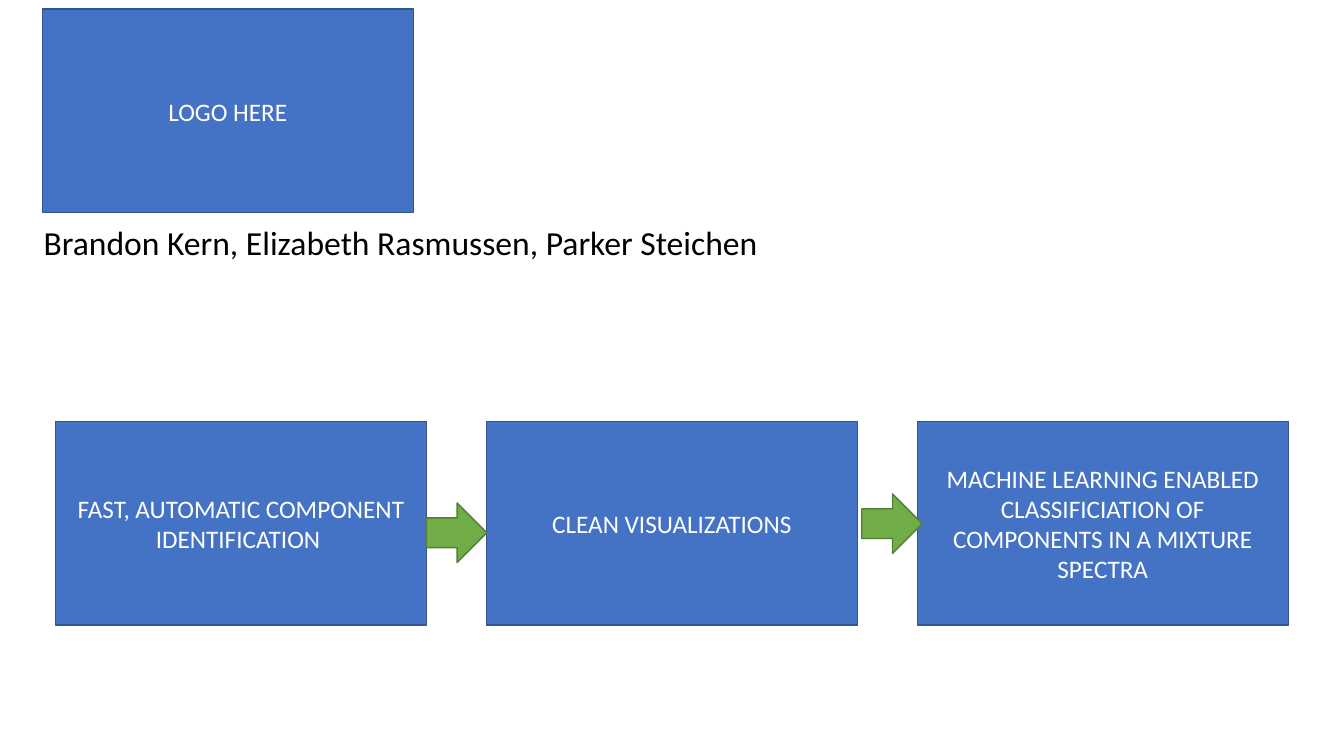
from pptx import Presentation
from pptx.dml.color import RGBColor
from pptx.enum.shapes import MSO_SHAPE as Shape
from pptx.enum.text import MSO_ANCHOR as Anchor, PP_ALIGN as Align
from pptx.util import Pt

NAMES = "Brandon Kern, Elizabeth Rasmussen, Parker Steichen"
LOGO = "LOGO HERE"
STEPS = [
    "FAST, AUTOMATIC COMPONENT IDENTIFICATION ",
    "CLEAN VISUALIZATIONS",
    "MACHINE LEARNING ENABLED CLASSIFICIATION OF COMPONENTS IN A MIXTURE SPECTRA",
]
ARROWS = [(304.6, 359.3), (615.6, 352.8)]

BLUE = RGBColor(0x44, 0x72, 0xC4)
NAVY = RGBColor(0x32, 0x54, 0x91)
GREEN = RGBColor(0x70, 0xAD, 0x47)
MOSS = RGBColor(0x53, 0x80, 0x35)
WHITE = RGBColor(255, 255, 255)
BLACK = RGBColor(0, 0, 0)

BOX_W, BOX_H = 265, 145.5
LEFT, TOP, PITCH = 39.6, 301, 307.8

deck = Presentation()
deck.slide_width, deck.slide_height = Pt(960), Pt(540)
slide = deck.slides.add_slide(deck.slide_layouts[6])


def write(frame, text, size, color):
    frame.word_wrap = True
    frame.text = text
    para = frame.paragraphs[0]
    para.alignment = Align.CENTER
    font = para.runs[0].font
    font.name, font.size = "Calibri", Pt(size)
    font.color.rgb = color
    return para


def draw(kind, x, y, w, h, fill, edge):
    shape = slide.shapes.add_shape(kind, Pt(x), Pt(y), Pt(w), Pt(h))
    shape.shadow.inherit = False
    shape.fill.solid()
    shape.fill.fore_color.rgb = fill
    shape.line.color.rgb = edge
    shape.line.width = Pt(1)
    return shape


def box(x, y, text):
    frame = draw(Shape.RECTANGLE, x, y, BOX_W, BOX_H, BLUE, NAVY).text_frame
    frame.vertical_anchor = Anchor.MIDDLE
    write(frame, text, 18, WHITE)


names = slide.shapes.add_textbox(Pt(15.8), Pt(158.4), Pt(540.7), Pt(37.4))
line = write(names.text_frame, NAMES, 24, BLACK)
line.line_spacing = 0.9
line.space_before = Pt(10)

box(30.2, 6.5, LOGO)
for i, step in enumerate(STEPS):
    box(LEFT + i * PITCH, TOP, step)
for x, y in ARROWS:
    draw(Shape.RIGHT_ARROW, x, y, 43.2, 42.5, GREEN, MOSS)

deck.save("out.pptx")
